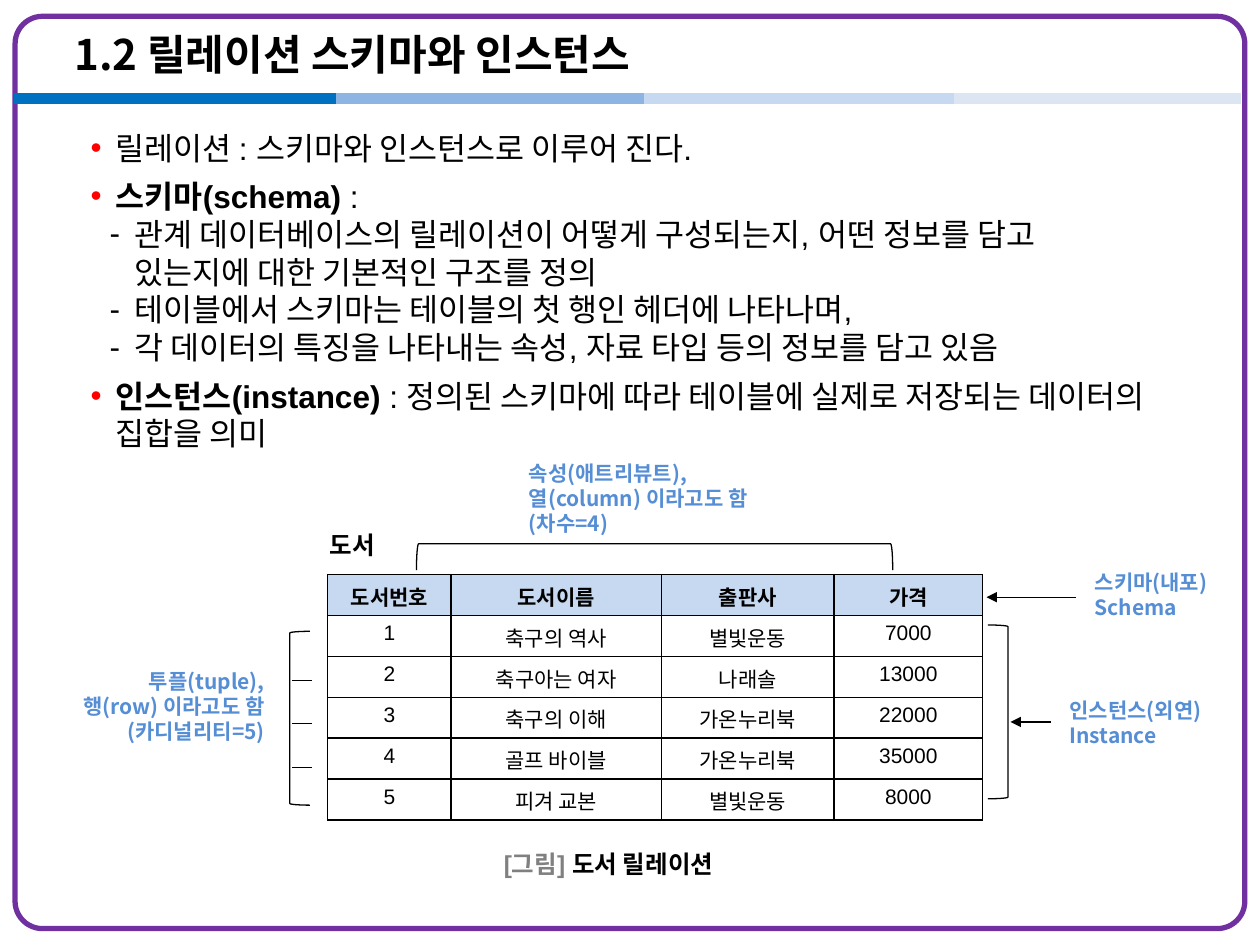
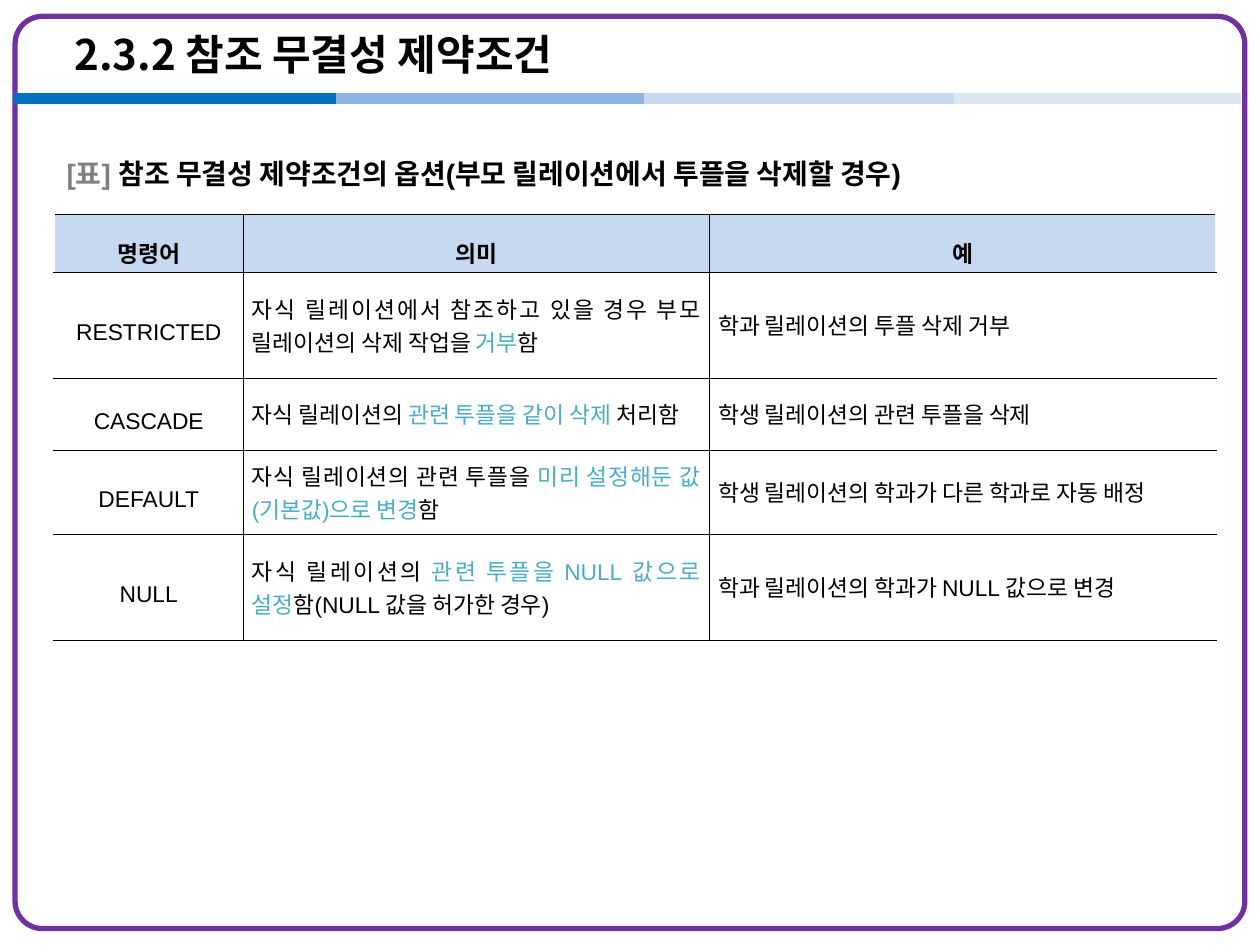
from lxml import etree
from pptx import Presentation
from pptx.dml.color import RGBColor
from pptx.enum.shapes import MSO_CONNECTOR, MSO_SHAPE
from pptx.enum.text import MSO_ANCHOR, MSO_AUTO_SIZE, PP_ALIGN
from pptx.oxml.ns import qn
from pptx.util import Inches, Pt

STRAIGHT = MSO_CONNECTOR.STRAIGHT
ROUNDED, LEFT_BRACKET, RIGHT_BRACKET = (
    MSO_SHAPE.ROUNDED_RECTANGLE, MSO_SHAPE.LEFT_BRACKET, MSO_SHAPE.RIGHT_BRACKET)
TOP, MIDDLE = MSO_ANCHOR.TOP, MSO_ANCHOR.MIDDLE
LEFT, CENTER, RIGHT, JUSTIFY = PP_ALIGN.LEFT, PP_ALIGN.CENTER, PP_ALIGN.RIGHT, PP_ALIGN.JUSTIFY
NO_AUTOFIT = MSO_AUTO_SIZE.NONE

BLACK = RGBColor(0, 0, 0)
WHITE = RGBColor(0xFF, 0xFF, 0xFF)
GRAY = RGBColor(0x80, 0x80, 0x80)
RED = RGBColor(0xFF, 0, 0)
PURPLE = RGBColor(0x70, 0x30, 0xA0)
LABEL_BLUE = RGBColor(0x55, 0x8E, 0xD5)
KEY_TEAL = RGBColor(0x4B, 0xAC, 0xC6)
DEEP_BLUE = RGBColor(0, 0x70, 0xC0)
MID_BLUE = RGBColor(0x8E, 0xB4, 0xE3)
HEADER_BLUE = RGBColor(0xC6, 0xD9, 0xF1)
FAINT_BLUE = RGBColor(0xDC, 0xE6, 0xF2)

LATIN, KOREAN = "Arial", "Noto Sans CJK KR"

# The slide is a grid of 100 columns by 75 rows with square cells.
COLUMNS, ROWS = 100, 75
BAND_ROW = 7.8
BAND = [(1.1, 26.7, DEEP_BLUE), (26.7, 52.3, MID_BLUE),
        (51.1, 76.7, HEADER_BLUE), (75.7, 98.5, FAINT_BLUE)]

BOOKS = [
    ["도서번호", "도서이름", "출판사", "가격"],
    ["1", "축구의 역사", "별빛운동", "7000"],
    ["2", "축구아는 여자", "나래솔", "13000"],
    ["3", "축구의 이해", "가온누리북", "22000"],
    ["4", "골프 바이블", "가온누리북", "35000"],
    ["5", "피겨 교본", "별빛운동", "8000"],
]
# In each meaning the middle part is highlighted.
OPTIONS = [
    ("RESTRICTED", ("자식 릴레이션에서 참조하고 있을 경우 부모 릴레이션의 삭제 작업을 ", "거부", "함"),
     "학과 릴레이션의 투플 삭제 거부"),
    ("CASCADE", ("자식 릴레이션의 ", "관련 투플을 같이 삭제 ", "처리함"),
     "학생 릴레이션의 관련 투플을 삭제"),
    ("DEFAULT", ("자식 릴레이션의 관련 투플을 ", "미리 설정해둔 값(기본값)으로 변경", "함"),
     "학생 릴레이션의 학과가 다른 학과로 자동 배정"),
    ("NULL", ("자식 릴레이션의 ", "관련 투플을 NULL 값으로 설정", "함(NULL 값을 허가한 경우)"),
     "학과 릴레이션의 학과가 NULL 값으로 변경"),
]


def grid(*cells):
    return [Inches(cell / 10) for cell in cells]


def add_span(para, text, size, color=BLACK, bold=False, font=LATIN):
    span = para.add_run()
    span.text = text
    span.font.size, span.font.bold, span.font.name = Pt(size), bold, font
    span.font.color.rgb = color
    latin = span.font._element.find(qn("a:latin"))
    latin.addnext(latin.makeelement(qn("a:ea"), {"typeface": KOREAN}))


def move(shape, area):
    shape.left, shape.top, shape.width, shape.height = grid(*area)


def prepare_frame(shape, anchor):
    frame = shape.text_frame
    frame.word_wrap, frame.auto_size = True, NO_AUTOFIT
    frame.vertical_anchor = anchor
    return frame


def next_para(frame, index):
    return frame.add_paragraph() if index else frame.paragraphs[0]


def add_bullet(para, mark, margin, color):
    """Give the paragraph a mark hanging 0.2 inch before its text."""
    props = para._p.get_or_add_pPr()
    props.set("marL", str(Inches(margin)))
    props.set("indent", str(-Inches(0.2)))
    fill = etree.SubElement(props, qn("a:buClr"))
    etree.SubElement(fill, qn("a:srgbClr"), val=str(color))
    etree.SubElement(props, qn("a:buFont"), typeface=LATIN)
    etree.SubElement(props, qn("a:buChar"), char=mark)


def add_line(page, start, end, color=BLACK, width=0.75, arrow=False):
    line = page.shapes.add_connector(STRAIGHT, *grid(*start, *end))
    line.line.color.rgb, line.line.width = color, Pt(width)
    if arrow:
        outline = line.line._get_or_add_ln()
        etree.SubElement(outline, qn("a:headEnd"), type="triangle")
    etree.SubElement(line._element.spPr, qn("a:effectLst"))


def add_outline(page, kind, area, color=BLACK, width=0.75, rotation=0):
    shape = page.shapes.add_shape(kind, *grid(*area))
    shape.shadow.inherit = False
    shape.fill.background()
    shape.line.color.rgb, shape.line.width = color, Pt(width)
    shape.rotation = rotation
    return shape


def add_page(deck, layout, title):
    """Add a slide with the title, purple frame and blue band."""
    page = deck.slides.add_slide(deck.slide_layouts.get_by_name(layout))
    move(page.shapes.title, (4.9, 1.3, 82.7, 6))
    para = prepare_frame(page.shapes.title, MIDDLE).paragraphs[0]
    para.alignment = LEFT
    add_span(para, title, 24, bold=True, font=KOREAN)
    border = add_outline(page, ROUNDED, (1.2, 1.3, 97.6, 72.4), PURPLE, 3)
    border.adjustments[0] = 0.03
    for start, end, color in BAND:
        add_line(page, (start, BAND_ROW), (end, BAND_ROW), color, 6)
    return page


def add_label(page, area, lines, align=LEFT):
    box = page.shapes.add_textbox(*grid(*area))
    frame = prepare_frame(box, TOP)
    for index, text in enumerate(lines):
        para = next_para(frame, index)
        para.alignment, para.line_spacing = align, Pt(14.3)
        add_span(para, text, 12, LABEL_BLUE, True, KOREAN)


def add_caption(page, area, size, tag, text):
    box = page.shapes.add_textbox(*grid(*area))
    para = prepare_frame(box, MIDDLE).paragraphs[0]
    if tag:
        add_span(para, tag, size, GRAY, True)
    add_span(para, text, size, bold=True)


def add_grid_table(page, corner, widths, heights):
    table = page.shapes.add_table(
        len(heights), len(widths), *grid(*corner, sum(widths), sum(heights))).table
    table.first_row = table.horz_banding = False
    for column, width in zip(table.columns, grid(*widths)):
        column.width = width
    for row, height in zip(table.rows, grid(*heights)):
        row.height = height
    return table


def set_borders(cell, sides, width):
    props = cell._tc.get_or_add_tcPr()
    for index, side in enumerate(sides):
        border = props.makeelement(qn("a:ln" + side), {"w": str(Pt(width))})
        fill = etree.SubElement(border, qn("a:solidFill"))
        etree.SubElement(fill, qn("a:srgbClr"), val=str(BLACK))
        props.insert(index, border)


def add_definitions(page):
    body = page.placeholders[1]
    move(body, (6.2, 10, 88.7, 26.1))
    frame = prepare_frame(body, MIDDLE)
    # mark, bold term, lines of plain text, space before, space after
    items = [
        ("•", "", ["릴레이션 : 스키마와 인스턴스로 이루어 진다."], 0, 6),
        ("•", "스키마(schema)", [" :"], 0, 0),
        ("-", "", ["관계 데이터베이스의 릴레이션이 어떻게 구성되는지, 어떤 정보를 담고",
                   "있는지에 대한 기본적인 구조를 정의"], 0, 0),
        ("-", "", ["테이블에서 스키마는 테이블의 첫 행인 헤더에 나타나며,"], 0, 0),
        ("-", "", ["각 데이터의 특징을 나타내는 속성, 자료 타입 등의 정보를 담고 있음"], 0, 0),
        ("•", "인스턴스(instance)",
         [" : 정의된 스키마에 따라 테이블에 실제로 저장되는 데이터의 집합을 의미"], 6, 0),
    ]
    for index, (mark, term, lines, before, after) in enumerate(items):
        para = next_para(frame, index)
        para.line_spacing = Pt(21.6)
        para.space_before, para.space_after = Pt(before), Pt(after)
        if mark == "•":
            add_bullet(para, mark, 0.2, RED)
        else:
            add_bullet(para, mark, 0.35, BLACK)
        if term:
            add_span(para, term, 18, bold=True)
        for number, text in enumerate(lines):
            if number:
                para.add_line_break()
            add_span(para, text, 18)


def add_book_table(page):
    table = add_grid_table(page, (26, 45.6), [9.8, 16.7, 13.7, 11.8], [3.25] * len(BOOKS))
    for row, values in enumerate(BOOKS):
        for column, text in enumerate(values):
            cell = table.cell(row, column)
            cell.margin_bottom = Inches(0.03)
            cell.fill.solid()
            cell.fill.fore_color.rgb = WHITE if row else HEADER_BLUE
            set_borders(cell, "LRTB", 1)
            para = cell.text_frame.paragraphs[0]
            para.alignment = CENTER
            add_span(para, text, 12, bold=row == 0)


def add_book_notes(page):
    """Add the brackets, arrows and labels around the book table."""
    add_label(page, (41, 36.1, 23.6, 7.1), ["속성(애트리뷰트),", "열(column) 이라고도 함", "(차수=4)"])
    add_outline(page, LEFT_BRACKET, (50.9, 25.3, 2.1, 37.8), rotation=90)
    add_label(page, (1.3, 52.6, 20.7, 7.1),
              ["투플(tuple),", "행(row) 이라고도 함", "(카디널리티=5)"], RIGHT)
    add_outline(page, RIGHT_BRACKET, (23, 50.1, 1.6, 13.8), rotation=180)
    for step in range(3):
        level = 54 + 3.45 * step
        add_line(page, (23.2, level), (24.8, level))
    add_outline(page, RIGHT_BRACKET, (78.4, 49.6, 1.6, 13.8))
    add_line(page, (78.3, 47.4), (85.4, 47.4), arrow=True)
    add_label(page, (85.9, 44.7, 13.8, 5), ["스키마(내포)", "Schema"])
    add_line(page, (80.2, 57.3), (83.4, 57.3), arrow=True)
    add_label(page, (83.9, 54.9, 13.8, 5), ["인스턴스(외연)", "Instance"])


def add_option_table(page):
    table = add_grid_table(page, (4.3, 17), [15, 37, 40.2], [4.6, 8.4, 5.7, 6.7, 8.4])
    rows = [("명령어", ("의미",), "예")] + OPTIONS
    for row, (command, meaning, example) in enumerate(rows):
        for column, parts in enumerate([(command,), meaning, (example,)]):
            cell = table.cell(row, column)
            cell.vertical_anchor = MIDDLE
            cell.margin_left = cell.margin_right = Inches(0.07)
            cell.margin_top = cell.margin_bottom = Inches(0.02)
            if row:
                cell.fill.background()
            else:
                cell.fill.solid()
                cell.fill.fore_color.rgb = HEADER_BLUE
            set_borders(cell, ("RTB", "LRTB", "LTB")[column], 0.28)
            para = cell.text_frame.paragraphs[0]
            if row and column:
                para.alignment = JUSTIFY
            else:
                para.alignment, para.line_spacing = CENTER, 1.6
            for index, text in enumerate(parts):
                add_span(para, text, 13, KEY_TEAL if index == 1 else BLACK, row == 0)


def main():
    deck = Presentation()
    deck.slide_width, deck.slide_height = grid(COLUMNS, ROWS)

    page = add_page(deck, "Title and Content", "1.2 릴레이션 스키마와 인스턴스")
    add_definitions(page)
    add_book_table(page)
    add_book_notes(page)
    add_caption(page, (39, 67, 24, 3.1), 14, "[그림] ", "도서 릴레이션")
    add_caption(page, (25.2, 41.7, 8, 3.1), 14, "", "도서")

    page = add_page(deck, "Title Only", "2.3.2 참조 무결성 제약조건")
    add_option_table(page)
    add_caption(page, (4.3, 12.2, 79.5, 3.1), 16, "[표] ",
                "참조 무결성 제약조건의 옵션(부모 릴레이션에서 투플을 삭제할 경우)")
    deck.save("out.pptx")


if __name__ == "__main__":
    main()
